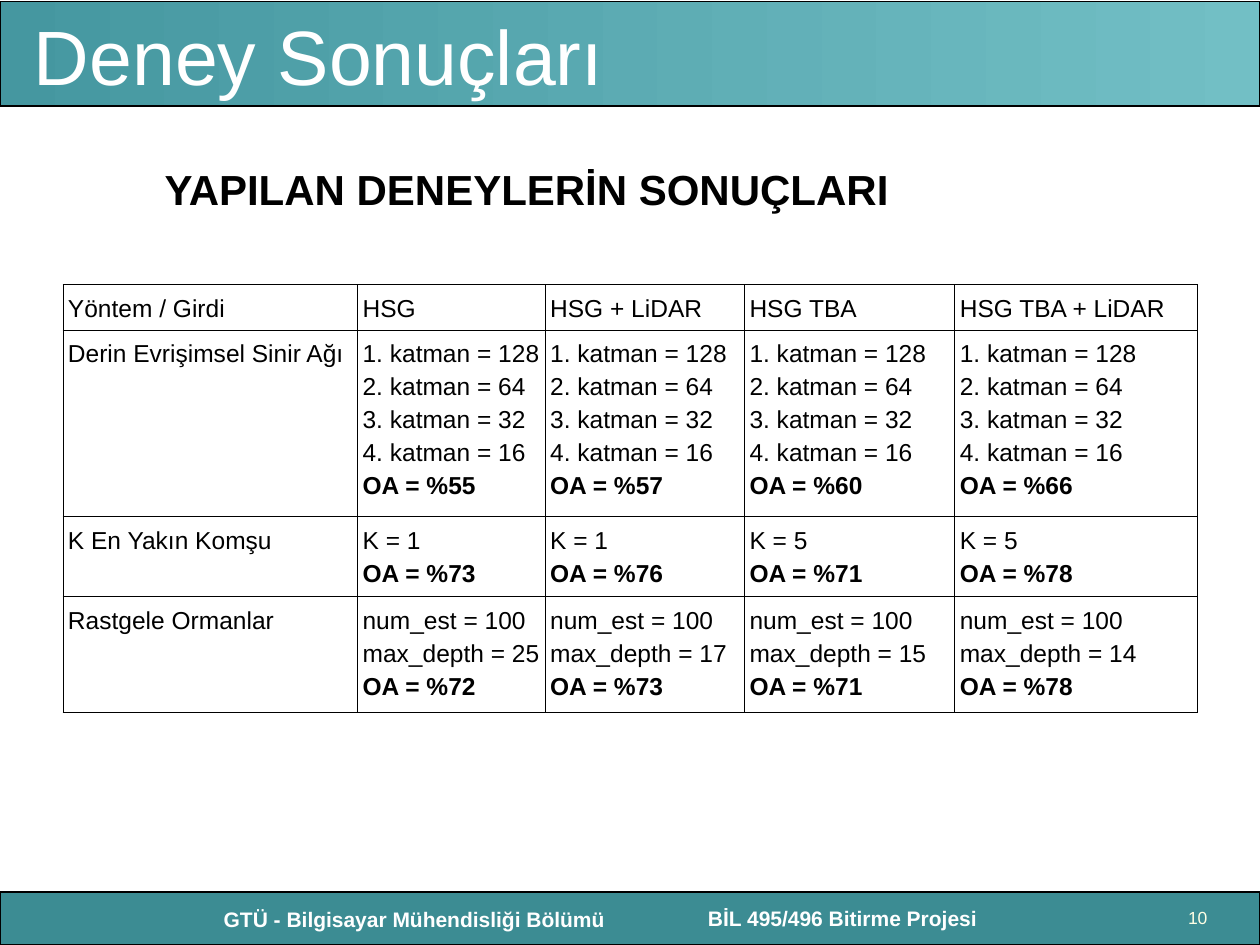
"""Build the experiment results slide with its table of methods and inputs."""
from lxml import etree
from pptx import Presentation
from pptx.dml.color import RGBColor
from pptx.enum.shapes import MSO_SHAPE as SHAPE
from pptx.enum.text import MSO_ANCHOR as ANCHOR, MSO_AUTO_SIZE as FIT, PP_ALIGN as ALIGN
from pptx.oxml import parse_xml
from pptx.oxml.ns import nsdecls
from pptx.util import Cm, Pt


def rgb(hex_color):
    return RGBColor.from_string(hex_color)


def write(tf, text, size, color, bold=False, align=ALIGN.LEFT):
    tf.text = text
    for p in tf.paragraphs:
        p.alignment = align
        for r in p.runs:
            r.font.name = "Arial"
            r.font.size = Pt(size)
            r.font.bold = bold
            r.font.color.rgb = rgb(color)


prs = Presentation()
prs.slide_width, prs.slide_height = Cm(25.4), Cm(19.05)
s = prs.slides.add_slide(prs.slide_layouts[5])

bars = []
for top, height in [(17.98, 1.07), (0.03, 2.11)]:
    bar = s.shapes.add_shape(SHAPE.RECTANGLE, 0, Cm(top), prs.slide_width, Cm(height))
    bar.shadow.inherit = False
    bar.line.color.rgb = rgb("000000")
    bar.line.width = Pt(0.75)
    bars.append(bar)
footer, banner = bars
footer.fill.solid()
footer.fill.fore_color.rgb = rgb("3C8C93")
banner.fill.gradient()
banner.fill.gradient_angle = 0
for stop, color, pos in zip(banner.fill.gradient_stops, ["4597A0", "72BFC5"], [0, 1]):
    stop.color.rgb = rgb(color)
    stop.position = pos

title = s.shapes.title
title.left, title.top, title.width, title.height = Cm(0.43), Cm(0.3), Cm(21.79), Cm(1.6)
title.text_frame.auto_size = FIT.NONE
title.text_frame.vertical_anchor = ANCHOR.MIDDLE
write(title.text_frame, "Deney Sonuçları", 44, "FFFFFF")
title.element.getparent().append(title.element)

labels = [
    ("GTÜ - Bilgisayar Mühendisliği Bölümü", 4.01, 18.16, 8.69, 0.76, 12, "FFFFFF", True, ALIGN.CENTER),
    ("BİL 495/496 Bitirme Projesi ", 12.7, 18.14, 8.69, 0.76, 12, "FFFFFF", True, ALIGN.CENTER),
    ("10", 23.7, 18.21, 1.27, 0.2, 10, "FFFFE5", False, ALIGN.LEFT),
    ("YAPILAN DENEYLERİN SONUÇLARI", 3.07, 3.18, 21.06, 1.27, 24, "000000", True, ALIGN.LEFT),
]
for text, left, top, width, height, *style in labels:
    box = s.shapes.add_textbox(Cm(left), Cm(top), Cm(width), Cm(height))
    box.text_frame.word_wrap = True
    write(box.text_frame, text, *style)

layers = "1. katman = 128\n2. katman = 64\n3. katman = 32\n4. katman = 16"
inputs = ["HSG", "HSG + LiDAR", "HSG TBA ", "HSG TBA + LiDAR"]
methods = [
    ("Derin Evrişimsel Sinir Ağı", [layers] * 4, [55, 57, 60, 66]),
    ("K En Yakın Komşu", [f"K = {k}" for k in (1, 1, 5, 5)], [73, 76, 71, 78]),
    ("Rastgele Ormanlar", [f"num_est = 100\nmax_depth = {d}" for d in (25, 17, 15, 14)], [72, 73, 71, 78]),
]
rows = [["Yöntem / Girdi"] + inputs]
for method, settings, scores in methods:
    rows.append([method] + [f"{setting}\nOA = %{oa}" for setting, oa in zip(settings, scores)])

widths = [5.94, 3.78, 4.02, 4.24, 4.88]
heights = [0.89, 3.53, 1.55, 2.2]
table = s.shapes.add_table(4, 5, Cm(1.27), Cm(5.74), Cm(sum(widths)), Cm(sum(heights))).table
table.first_row = table.horz_banding = False
for column, width in zip(table.columns, widths):
    column.width = Cm(width)
for row, height, texts in zip(table.rows, heights, rows):
    row.height = Cm(height)
    for cell, text in zip(row.cells, texts):
        cell.margin_left = cell.margin_right = cell.margin_top = cell.margin_bottom = Cm(0.1)
        cell.fill.background()
        write(cell.text_frame, text, 14, "000000")
        for p in cell.text_frame.paragraphs:
            p.line_spacing = 1.2
            for r in p.runs:
                r.font.bold = r.text.startswith("OA")
        tc_pr = cell._tc.get_or_add_tcPr()
        for i, side in enumerate("LRTB"):
            tc_pr.insert(i, parse_xml(
                f'<a:ln{side} {nsdecls("a")} w="{Pt(0.6)}"><a:solidFill>'
                f'<a:srgbClr val="000000"/></a:solidFill></a:ln{side}>'))

prs.save("out.pptx")
